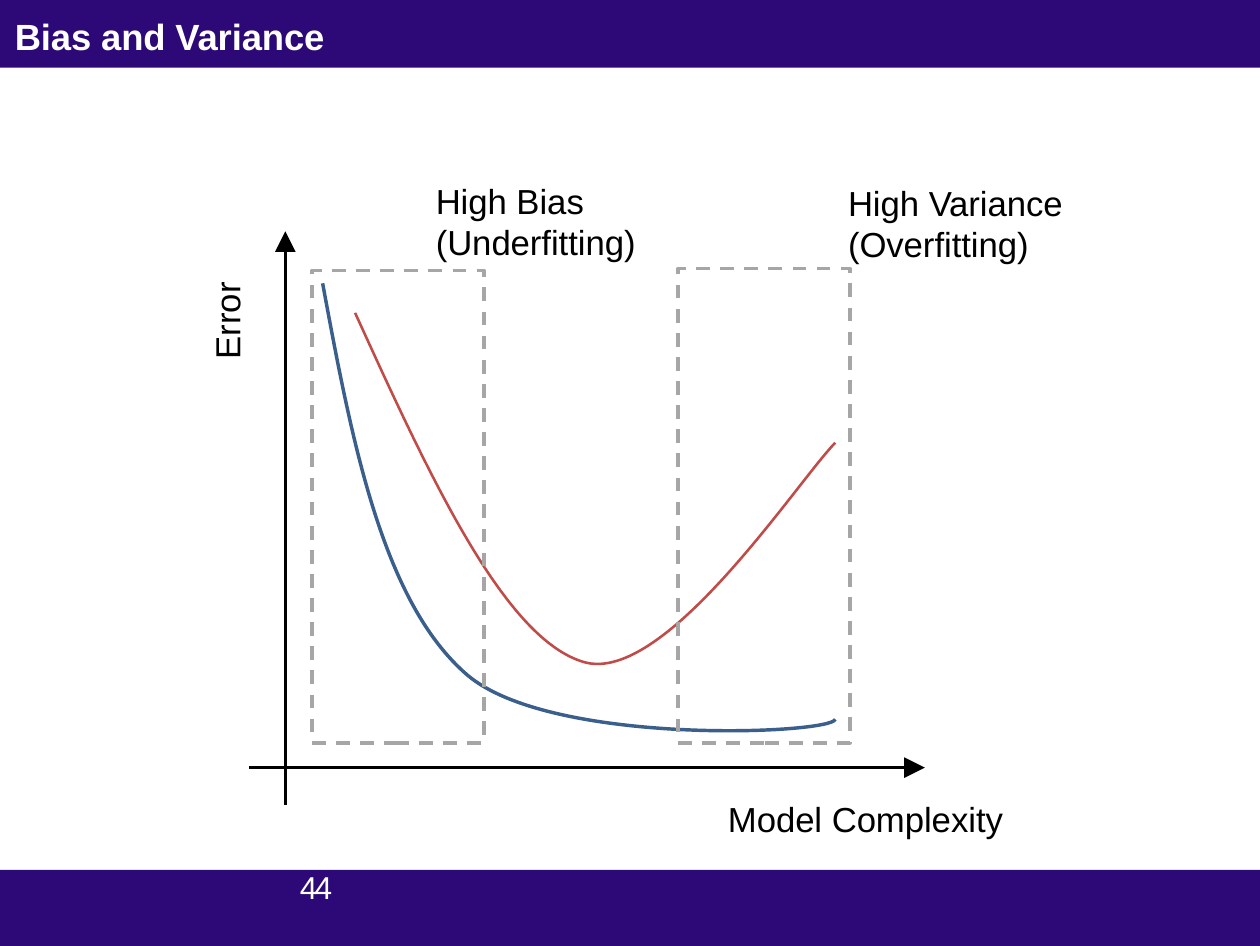
from lxml import etree
from pptx import Presentation, util as u
from pptx.dml.color import RGBColor
from pptx.enum import dml, shapes, text
from pptx.oxml.ns import qn

COLORS = {"bar": "2C0977", "white": "FFFFFF", "black": "000000",
          "test": "BF4C48", "train": "3A5F8C", "zone": "A6A6A6"}
SLIDE_SIZE = (u.Pt(363), u.Pt(272.5))
HEADER_BOTTOM, FOOTER_TOP = u.Cm(0.69), u.Cm(8.84)
TITLE = "Bias and Variance"
TITLE_BOX = (0.15, 0.14, 12.5, 0.36)
PAGE = ("44", (0.43, 8.93, 2.95, 0.28))
AXES = [(2.9, 8.18, 2.9, 2.35), (2.53, 7.8, 9.4, 7.8)]
CURVES = [
    ("test", 0.75, [(3.61, 3.18), (4.37, 4.85), (5.13, 6.5), (5.94, 6.73),
                    (6.76, 6.96), (8.1, 4.9), (8.49, 4.5)]),
    ("train", 1, [(3.28, 2.88), (3.58, 4.5), (3.89, 6.12), (4.75, 6.86),
                  (5.61, 7.59), (8.46, 7.46), (8.49, 7.31)]),
]
ZONES = [(3.17, 2.75, 1.75, 4.8), (6.89, 2.73, 1.75, 4.82)]
LABELS = [
    ("Model Complexity", (7.15, 7.98, 3.51, 0.69)),
    ("High Bias (Underfitting)", (4.18, 1.7, 3.51, 1.12)),
    ("High Variance (Overfitting)", (8.37, 1.72, 3.51, 1.12)),
]
ERROR = ("Error", (2.09, 1.15, 0.42, 2.5))
NO_MARGINS = dict.fromkeys(
    ("margin_left", "margin_top", "margin_right", "margin_bottom"), 0)


def cm(values):
    return [u.Cm(v) for v in values]


def rgb(name):
    return RGBColor.from_string(COLORS[name])


def apply(target, formats):
    for name, value in formats.items():
        setattr(target, name, value)


def write(sp, words, size, color, frame=None, para=None, bold=False):
    tf = sp.text_frame
    apply(tf, {"word_wrap": True, "auto_size": text.MSO_AUTO_SIZE.NONE,
               "vertical_anchor": text.MSO_ANCHOR.TOP, **(frame or {})})
    p = tf.paragraphs[0]
    apply(p, {"alignment": text.PP_ALIGN.LEFT, **(para or {})})
    r = p.add_run()
    r.text = words
    apply(r.font, {"name": "Arial", "size": u.Pt(size), "bold": bold})
    r.font.color.rgb = rgb(color)
    return r


def stroke(sp, color, width):
    sp.line.color.rgb = rgb(color)
    sp.line.width = u.Pt(width)


def add_rect(s, box):
    sp = s.shapes.add_shape(shapes.MSO_SHAPE.RECTANGLE, *box)
    sp.shadow.inherit = False
    return sp


def add_axis(s, ends):
    line = s.shapes.add_connector(shapes.MSO_CONNECTOR.STRAIGHT, *cm(ends))
    stroke(line, "black", 0.75)
    etree.SubElement(line.line._get_or_add_ln(), qn("a:tailEnd"), type="triangle")
    etree.SubElement(line._element.spPr, qn("a:effectLst"))


def add_curve(s, color, width, points):
    start, *rest = [cm(pt) for pt in points]
    builder = s.shapes.build_freeform(*start)
    builder.add_line_segments(rest, close=False)
    sp = builder.convert_to_shape()
    outline = next(sp._element.iter(qn("a:path")))
    segments = outline.findall(qn("a:lnTo"))
    for i in range(0, len(segments), 3):
        bezier = etree.SubElement(outline, qn("a:cubicBezTo"))
        for segment in segments[i:i + 3]:
            bezier.append(segment[0])
            outline.remove(segment)
    sp.shadow.inherit = False
    sp.fill.background()
    stroke(sp, color, width)


def main():
    prs = Presentation()
    prs.slide_width, prs.slide_height = width, height = SLIDE_SIZE
    s = prs.slides.add_slide(prs.slide_layouts[5])
    for top, bottom in [(0, HEADER_BOTTOM), (FOOTER_TOP, height)]:
        bar = add_rect(s, (0, top, width, bottom - top))
        bar.fill.solid()
        bar.fill.fore_color.rgb = rgb("bar")
        bar.line.fill.background()

    title = s.shapes.title
    title._element.getparent().append(title._element)
    apply(title, dict(zip(("left", "top", "width", "height"), cm(TITLE_BOX))))
    write(title, TITLE, 10.5, "white", NO_MARGINS, bold=True)

    words, box = PAGE
    number = write(s.shapes.add_textbox(*cm(box)), words, 9.1, "white", NO_MARGINS,
                   {"alignment": text.PP_ALIGN.RIGHT, "line_spacing": u.Pt(7.7)})
    number.font._element.set("spc", "-80")

    for ends in AXES:
        add_axis(s, ends)
    for curve in CURVES:
        add_curve(s, *curve)
    for box in ZONES:
        zone = add_rect(s, cm(box))
        zone.fill.background()
        stroke(zone, "zone", 1)
        zone.line.dash_style = dml.MSO_LINE.DASH
    for words, box in LABELS:
        write(s.shapes.add_textbox(*cm(box)), words, 10, "black")

    words, box = ERROR
    error = s.shapes.add_textbox(*cm(box))
    write(error, words, 10, "black", NO_MARGINS)
    error.text_frame._txBody.bodyPr.set("vert", "vert270")
    prs.save("out.pptx")


if __name__ == "__main__":
    main()
